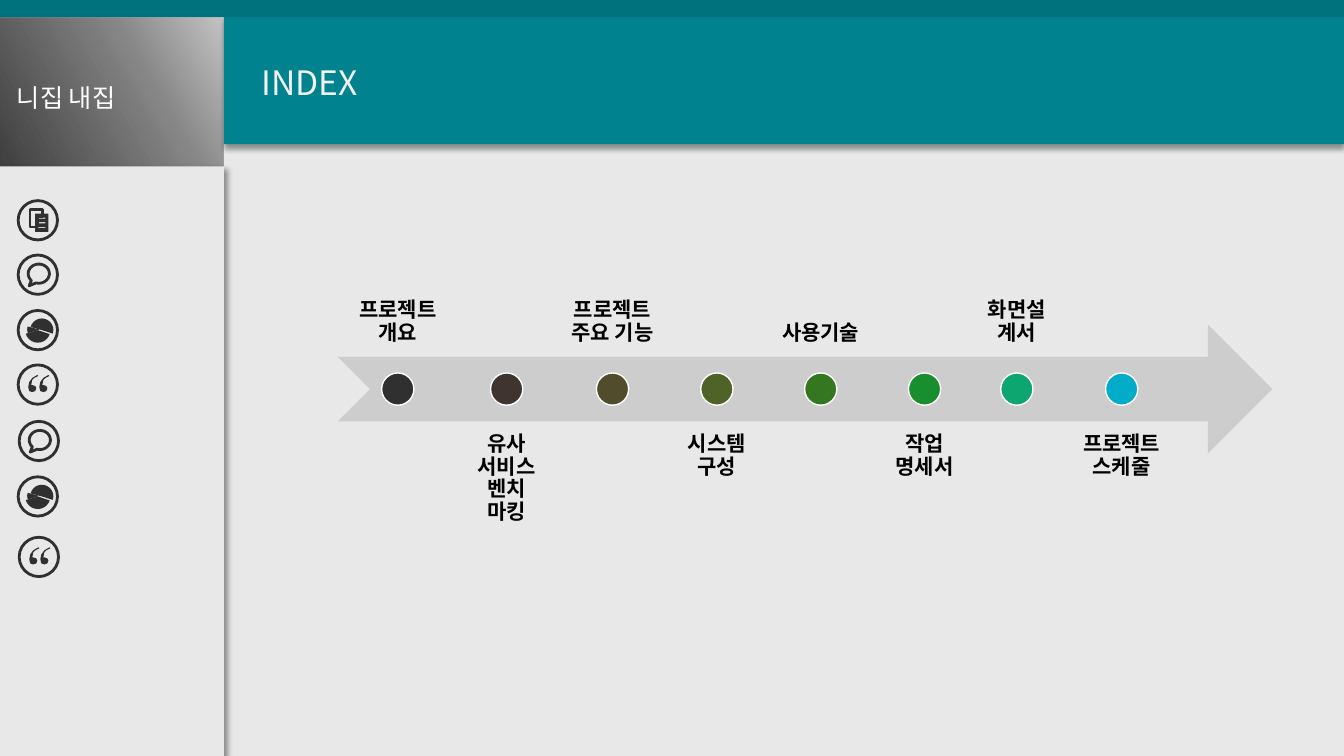
import math
from lxml import etree
from pptx import Presentation, util as u
from pptx.dml import color
from pptx.enum import shapes, text
from pptx.oxml import ns

HUES = {
    "back": "E8E8E8", "teal": "00838F", "deep": "00727E", "ink": "303030",
    "arrow": "CDCDCD", "white": "FFFFFF", "pale": "F2F2F2", "black": "000000",
    "grey": "404040",
    "dot1": "303030", "dot2": "3F342F", "dot3": "504C2C", "dot4": "4F6227",
    "dot5": "347720", "dot6": "188E2E", "dot7": "0DA671", "dot8": "00ACC8",
}
FONT = "Noto Sans CJK KR"
KIND = shapes.MSO_SHAPE
COLS, ROWS = 133.3, 75
QUOTE = [(0.9, 0), (1, 0.1), (0.6, 0.3), (0.4, 0.5), (0.3, 1), (0.4, 1),
         (0.7, 1.1), (0.8, 1.3), (0.7, 1.6), (0.4, 1.7), (0.1, 1.6),
         (0, 1.2), (0.1, 0.7), (0.4, 0.3)]
PIES = [(0.7, 0.7, 2.5, 18.6, 162.88), (1.2, 0.8, 2.3, 195.14, 17.94),
        (0.9, 0.7, 2.4, 162.78, 195.05)]
ICONS = [("pages", 1.8, 19.9), ("bubble", 1.8, 25.3), ("chart", 1.8, 30.8),
         ("quotes", 1.8, 36.2), ("bubble", 1.9, 41.8), ("chart", 1.8, 47.3),
         ("quotes", 1.9, 53.3)]
STEPS = [("프로젝트 개요", 11.9), ("유사 서비스 벤치 마킹", 8.9),
         ("프로젝트 주요 기능", 11.3), ("시스템구성", 8.6), ("사용기술", 11.2),
         ("작업 명세서", 8.6), ("화면설계서", 8.9), ("프로젝트 스케줄", 11.1)]


def grid(n):
    return u.Emu(round(n * 91440))


def box(x, y, w, h):
    return [(x, y), (x + w, y), (x + w, y + h), (x, y + h)]


def node(top, tag, **keys):
    return etree.SubElement(top, ns.qn("a:" + tag), **keys)


class Deck:
    def __init__(self):
        self.file = Presentation()
        self.file.slide_width, self.file.slide_height = grid(COLS), grid(ROWS)
        self.page = self.file.slides.add_slide(self.file.slide_layouts[5])
        self.items = self.page.shapes
        back = self.page.background.fill
        back.solid()
        back.fore_color.rgb = self.hue("back")

    def hue(self, name):
        return color.RGBColor.from_string(HUES[name])

    def paint(self, item, fill, line, width):
        item.shadow.inherit = False
        if fill:
            item.fill.solid()
            item.fill.fore_color.rgb = self.hue(fill)
        else:
            item.fill.background()
        if line:
            item.line.color.rgb = self.hue(line)
            item.line.width = u.Pt(width)
        else:
            item.line.fill.background()
        return item

    def shape(self, kind, x, y, w, h, fill=None, line=None, width=1):
        item = self.items.add_shape(kind, *map(grid, (x, y, w, h)))
        return self.paint(item, fill, line, width)

    def outline(self, x, y, loops, fill=None, line=None, width=2):
        loops = [[(grid(x + a), grid(y + b)) for a, b in loop] for loop in loops]
        pen = self.items.build_freeform(*loops[0][0])
        pen.add_line_segments(loops[0][1:], close=True)
        for loop in loops[1:]:
            pen.move_to(*loop[0])
            pen.add_line_segments(loop[1:], close=True)
        return self.paint(pen.convert_to_shape(), fill, line, width)

    def shade(self, item, angle):
        effect = item._element.spPr.find(ns.qn("a:effectLst"))
        cast = node(effect, "outerShdw", blurRad=str(u.Pt(4)),
                    dist=str(u.Pt(3)), dir=str(angle * 60000), rotWithShape="0")
        node(node(cast, "srgbClr", val=HUES["black"]), "alpha", val="40000")

    def blend(self, item, stops, angle):
        item.fill.gradient()
        grad = item._element.spPr.find(ns.qn("a:gradFill"))
        for part in list(grad):
            grad.remove(part)
        marks = node(grad, "gsLst")
        for spot, clear in stops:
            tint = node(node(marks, "gs", pos=str(spot * 1000)), "srgbClr",
                        val=HUES["grey"])
            node(tint, "alpha", val=str((100 - clear) * 1000))
        node(grad, "lin", ang=str(angle * 60000), scaled="0")

    def style(self, frame, words, size, hue, bold=False):
        frame.text = words
        for run in frame.paragraphs[0].runs:
            run.font.name, run.font.size, run.font.bold = FONT, u.Pt(size), bold
            run.font.color.rgb = self.hue(hue)
            node(run._r.get_or_add_rPr(), "ea", typeface=FONT)

    def title(self, words, x, y, w, h):
        item = self.items.title
        item.left, item.top, item.width, item.height = map(grid, (x, y, w, h))
        frame = item.text_frame
        self.style(frame, words, 24, "pale")
        frame.word_wrap = False
        frame.auto_size = text.MSO_AUTO_SIZE.NONE
        frame.vertical_anchor = text.MSO_ANCHOR.MIDDLE
        frame.paragraphs[0].alignment = text.PP_ALIGN.LEFT
        self.items._spTree.append(item._element)

    def note(self, words, x, y, w, h):
        frame = self.items.add_textbox(*map(grid, (x, y, w, h))).text_frame
        frame.word_wrap = False
        self.style(frame, words, 18, "white")

    def label(self, words, x, y, w, h, anchor):
        frame = self.items.add_textbox(*map(grid, (x, y, w, h))).text_frame
        frame.word_wrap = True
        frame.vertical_anchor = anchor
        frame.margin_left = frame.margin_right = grid(1.2)
        frame.margin_top = frame.margin_bottom = grid(1.2)
        self.style(frame, words, 15, "black", True)
        frame.paragraphs[0].alignment = text.PP_ALIGN.CENTER
        frame.paragraphs[0].line_spacing = 0.9

    def pages(self, x, y):
        sheet = [(0, 0), (1.2, 0), (1.2, 0.7), (0.7, 0.7), (0.7, 1.7), (0, 1.7)]
        self.outline(x + 1.2, y + 0.9, [sheet], line="ink", width=1.75)
        lines = [box(0.2, row, 0.8, 0.1) for row in (0.4, 0.85, 1.3)]
        self.outline(x + 1.7, y + 1.3, [box(0, 0, 1.3, 1.8)] + lines, "ink")

    def bubble(self, x, y):
        turns = [math.radians(a) for a in range(135, 466, 10)]
        loop = [(1.05 * math.cos(t), 0.95 * math.sin(t)) for t in turns]
        self.outline(x + 2.05, y + 1.85, [loop + [(-0.95, 1.2)]], line="ink")

    def chart(self, x, y):
        for left, top, size, start, end in PIES:
            pie = self.shape(KIND.PIE, x + left, y + top, size, size, "ink")
            pie.adjustments[0] = start * 0.6
            pie.adjustments[1] = end * 0.6

    def quotes(self, x, y):
        pair = [[(a + skip, b) for a, b in QUOTE] for skip in (0, 1.1)]
        self.outline(x + 1, y + 1, pair, "ink")

    def icon(self, name, x, y):
        self.shape(KIND.OVAL, x, y, 3.9, 3.9, line="ink", width=2)
        draw = {"pages": self.pages, "bubble": self.bubble,
                "chart": self.chart, "quotes": self.quotes}
        draw[name](x, y)


def main():
    deck = Deck()
    side, strip = 22.2, 1.7
    head = deck.shape(KIND.RECTANGLE, side, strip, COLS - side, 12.6, "teal")
    deck.shade(head, 90)
    deck.shape(KIND.RECTANGLE, 0, 0, COLS, strip, "deep")
    brand = deck.shape(KIND.RECTANGLE, 0, strip, side, 14.8, "grey")
    deck.blend(brand, [(0, 0), (66, 44), (100, 79)], 330)
    deck.note("니집 내집", 0.7, 7.7, 12.7, 4)
    panel = deck.shape(KIND.RECTANGLE, 0, 16.5, side, ROWS - 16.5, "back")
    deck.shade(panel, 45)
    for name, x, y in ICONS:
        deck.icon(name, x, y)
    deck.title("INDEX", 24.9, 5.6, 12.7, 5)

    left, tall, dot, gap = 33.5, 12.8, 3.2, 0.4
    deck.shape(KIND.NOTCHED_RIGHT_ARROW, left, 32.2, 92.7, tall, "arrow")
    sides = [(22.6, text.MSO_ANCHOR.BOTTOM), (41.8, text.MSO_ANCHOR.TOP)]
    for i, (words, wide) in enumerate(STEPS):
        top, anchor = sides[i % 2]
        deck.label(words, left, top, wide, tall, anchor)
        deck.shape(KIND.OVAL, left + (wide - dot) / 2, 37, dot, dot,
                   f"dot{i + 1}", "white")
        left += wide + gap
    deck.file.save("out.pptx")


if __name__ == "__main__":
    main()
